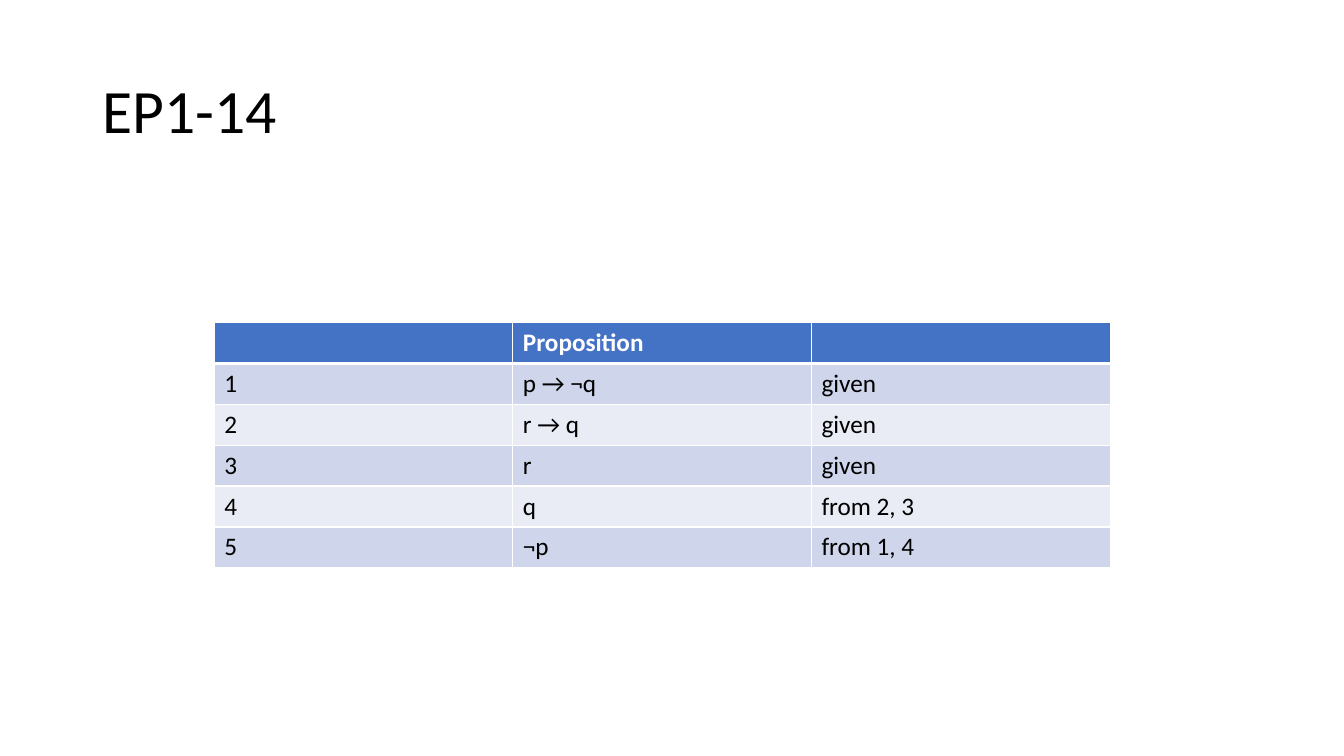
from lxml import etree
from pptx import Presentation
from pptx.dml.color import RGBColor
from pptx.enum import text
from pptx.oxml.ns import qn
from pptx.util import Pt

BLACK = RGBColor(0x00, 0x00, 0x00)
WHITE = RGBColor(0xFF, 0xFF, 0xFF)
HEADER = RGBColor(0x44, 0x72, 0xC4)
BANDS = [RGBColor(0xE9, 0xEB, 0xF5), RGBColor(0xCF, 0xD5, 0xEA)]
FONT = "Calibri"

PROOF = [
    ("", "Proposition", ""),
    ("1", "p → ¬q", "given"),
    ("2", "r → q", "given"),
    ("3", "r", "given"),
    ("4", "q", "from 2, 3"),
    ("5", "¬p", "from 1, 4"),
]


def add_run(p, words, size, color, bold=False):
    r = p.add_run()
    r.text = words
    r.font.name = FONT
    r.font.size = Pt(size)
    r.font.bold = bold
    r.font.color.rgb = color


def add_border(cell, side, width):
    """Draw a white line on one side (L, R, T or B) of a table cell."""
    ln = etree.SubElement(cell._tc.get_or_add_tcPr(), qn(f"a:ln{side}"), w=str(Pt(width)))
    fill = etree.SubElement(ln, qn("a:solidFill"))
    etree.SubElement(fill, qn("a:srgbClr"), val=str(WHITE))


prs = Presentation()
prs.slide_width, prs.slide_height = Pt(960), Pt(540)
s = prs.slides.add_slide(prs.slide_layouts[5])

# Title
title = s.shapes.title
title.left, title.top, title.width, title.height = Pt(66), Pt(28.75), Pt(828), Pt(104.4)
tf = title.text_frame
tf.word_wrap = True
tf.vertical_anchor = text.MSO_ANCHOR.MIDDLE
p = tf.paragraphs[0]
p.alignment = text.PP_ALIGN.LEFT
p.line_spacing = 0.9
add_run(p, "EP1-14", 44, BLACK)

# Proof table
row_height = 29.2
table = s.shapes.add_table(len(PROOF), 3, Pt(153), Pt(230.4), Pt(640),
                           Pt(row_height * len(PROOF))).table
for row in table.rows:
    row.height = Pt(row_height)

for i, steps in enumerate(PROOF):
    is_header = i == 0
    for j, words in enumerate(steps):
        cell = table.cell(i, j)
        for side in "LRTB":
            thick = (is_header and side == "B") or (i == 1 and side == "T")
            add_border(cell, side, 3 if thick else 1)
        cell.fill.solid()
        cell.fill.fore_color.rgb = HEADER if is_header else BANDS[i % 2]
        p = cell.text_frame.paragraphs[0]
        if words:
            add_run(p, words, 18, WHITE if is_header else BLACK, is_header)
        else:
            p.font.size = Pt(18)

prs.save("out.pptx")
